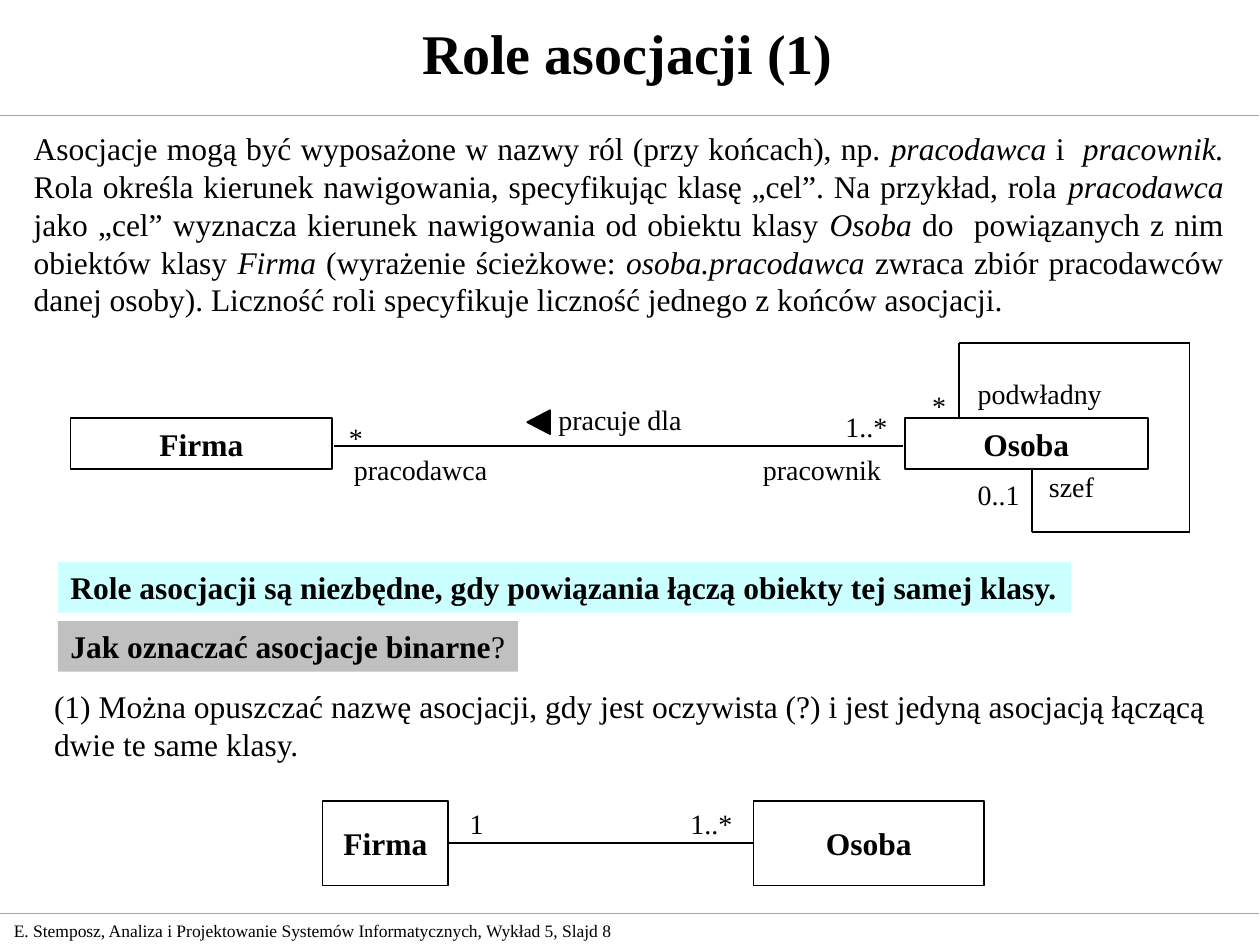
from itertools import pairwise

from lxml.etree import SubElement
from pptx import Presentation
from pptx.dml.color import RGBColor
from pptx.enum.shapes import MSO_CONNECTOR, MSO_SHAPE
from pptx.enum.text import MSO_ANCHOR, MSO_AUTO_SIZE, PP_ALIGN
from pptx.oxml.ns import qn
from pptx.util import Cm, Pt

BLACK = RGBColor(0x00, 0x00, 0x00)
ORANGE = RGBColor(0xFF, 0x99, 0x00)
CYAN = RGBColor(0xCC, 0xFF, 0xFF)
GREY = RGBColor(0xC0, 0xC0, 0xC0)

ROLES_TEXT = (
    "Asocjacje mogą być wyposażone w nazwy ról (przy końcach), np. |pracodawca |i  |pracownik. |"
    "Rola określa kierunek nawigowania, specyfikując klasę „cel”. Na przykład, rola |pracodawca |"
    "jako „cel” wyznacza kierunek nawigowania od obiektu klasy |Osoba| do  powiązanych z nim "
    "obiektów klasy |Firma| (wyrażenie ścieżkowe: |osoba.pracodawca |zwraca zbiór pracodawców "
    "danej osoby). Liczność roli specyfikuje liczność jednego z końców asocjacji."
)
NAMING_TEXT = (
    "(1) Można opuszczać nazwę asocjacji, gdy jest oczywista (?) i jest jedyną asocjacją łączącą "
    "dwie te same klasy."
)


def write(para, text, size=18, bold=False, align=PP_ALIGN.LEFT, font="Times New Roman"):
    """Text between vertical bars is set in italics."""
    para.alignment = align
    for index, part in enumerate(text.split("|")):
        span = para.add_run()
        span.text = part
        span.font.name = font
        span.font.size = Pt(size)
        span.font.bold = bold
        span.font.italic = index % 2 == 1
        span.font.color.rgb = BLACK


class DiagramSlide:
    label_height = 0.94
    line_width = 1

    def __init__(self, page):
        self.page = page

    def title(self, text, left, top, width, height):
        box = self.page.shapes.title
        box.left, box.top, box.width, box.height = map(Cm, (left, top, width, height))
        box.text_frame.vertical_anchor = MSO_ANCHOR.MIDDLE
        write(box.text_frame.paragraphs[0], text, size=32, bold=True, align=PP_ALIGN.CENTER)

    def text(self, text, left, top, width, height, wrap=True, anchor=MSO_ANCHOR.TOP, **style):
        box = self.page.shapes.add_textbox(Cm(left), Cm(top), Cm(width), Cm(height))
        box.text_frame.word_wrap = wrap
        box.text_frame.auto_size = MSO_AUTO_SIZE.SHAPE_TO_FIT_TEXT
        box.text_frame.vertical_anchor = anchor
        para = box.text_frame.paragraphs[0]
        write(para, text, **style)
        return para

    def label(self, text, left, top, width, align=PP_ALIGN.CENTER):
        self.text(text, left, top, width, self.label_height, wrap=False, size=16, align=align)

    def shape(self, kind, left, top, width, height, fill=None, outlined=True):
        shape = self.page.shapes.add_shape(kind, Cm(left), Cm(top), Cm(width), Cm(height))
        shape.shadow.inherit = False
        if fill is None:
            shape.fill.background()
        else:
            shape.fill.solid()
            shape.fill.fore_color.rgb = fill
        if outlined:
            shape.line.color.rgb = BLACK
            shape.line.width = Pt(self.line_width)
        else:
            shape.line.fill.background()
        return shape

    def class_box(self, name, left, top, width, height):
        box = self.shape(MSO_SHAPE.RECTANGLE, left, top, width, height)
        box.text_frame.vertical_anchor = MSO_ANCHOR.MIDDLE
        write(box.text_frame.paragraphs[0], name, bold=True, align=PP_ALIGN.CENTER)

    def banner(self, text, left, top, width, height, fill):
        box = self.shape(MSO_SHAPE.RECTANGLE, left, top, width, height, fill, outlined=False)
        box.text_frame.word_wrap = False
        box.text_frame.vertical_anchor = MSO_ANCHOR.TOP
        para = box.text_frame.paragraphs[0]
        write(para, text, bold=True)
        return para

    def direction_marker(self, left, top, width, height):
        marker = self.shape(MSO_SHAPE.FLOWCHART_EXTRACT, left, top, width, height, BLACK)
        marker.rotation = 270

    def path_line(self, *points, color=BLACK, width=line_width):
        for start, end in pairwise(points):
            line = self.page.shapes.add_connector(
                MSO_CONNECTOR.STRAIGHT, *map(Cm, (*start, *end))
            )
            line.line.color.rgb = color
            line.line.width = Pt(width)
            SubElement(line._element.spPr, qn("a:effectLst"))


def main():
    deck = Presentation()
    deck.slide_width, deck.slide_height = Cm(25.4), Cm(19.05)
    slide = DiagramSlide(deck.slides.add_slide(deck.slide_layouts[5]))

    slide.text(
        "E. Stemposz, Analiza i Projektowanie Systemów Informatycznych, Wykład 5, Slajd 8",
        0.03, 18.42, 13.31, 0.69, size=10, anchor=MSO_ANCHOR.MIDDLE,
    )
    for rule_top in (2.33, 18.41):
        slide.path_line((-0.03, rule_top), (25.37, rule_top), color=ORANGE, width=0.75)

    slide.title("Role asocjacji (1)", 0, -0.03, 25.3, 2.16)
    roles = slide.text(ROLES_TEXT, 0.43, 2.48, 24.49, 4.06, align=PP_ALIGN.JUSTIFY)
    roles.space_after = Pt(11.2)

    slide.class_box("Firma", 1.42, 8.43, 5.28, 1.02)
    slide.class_box("Osoba", 18.24, 8.43, 4.9, 1.02)
    slide.path_line((6.73, 8.99), (18.21, 8.99))
    slide.direction_marker(10.62, 8.28, 0.48, 0.46)
    slide.path_line(
        (19.33, 8.41), (19.33, 6.91), (23.98, 6.91), (23.98, 10.72), (20.8, 10.72), (20.8, 9.47)
    )
    for text, left, top, width in (
        ("pracuje dla", 10.95, 8, 3.1),
        ("*", 6.78, 8.36, 0.79),
        ("1..*", 16.74, 8.13, 1.45),
        ("pracodawca", 6.83, 8.99, 3.3),
        ("pracownik", 15.07, 8.99, 3),
        ("szef", 20.84, 9.35, 1.52),
        ("podwładny", 19.39, 7.47, 3.14),
    ):
        slide.label(text, left, top, width)

    slide.banner(
        "Role asocjacji są niezbędne, gdy powiązania łączą obiekty tej samej klasy.",
        1.17, 11.33, 20.42, 1.02, CYAN,
    )
    question = slide.banner("Jak oznaczać asocjacje binarne", 1.17, 12.52, 9.27, 1.02, GREY)
    write(question, "?")
    slide.text(NAMING_TEXT, 0.84, 13.72, 23.72, 1.78, align=PP_ALIGN.JUSTIFY)

    slide.class_box("Firma", 6.5, 16.15, 2.54, 1.7)
    slide.class_box("Osoba", 15.19, 16.15, 4.65, 1.7)
    slide.path_line((9.04, 17), (15.19, 17))
    for text, left, top, width in (
        ("*", 18.54, 7.7, 0.79),
        ("0..1", 19.46, 9.5, 1.35),
        ("1..*", 13.67, 16.13, 1.35),
        ("1", 9.22, 16.13, 0.79),
    ):
        slide.label(text, left, top, width, align=PP_ALIGN.LEFT)

    deck.save("out.pptx")


if __name__ == "__main__":
    main()
